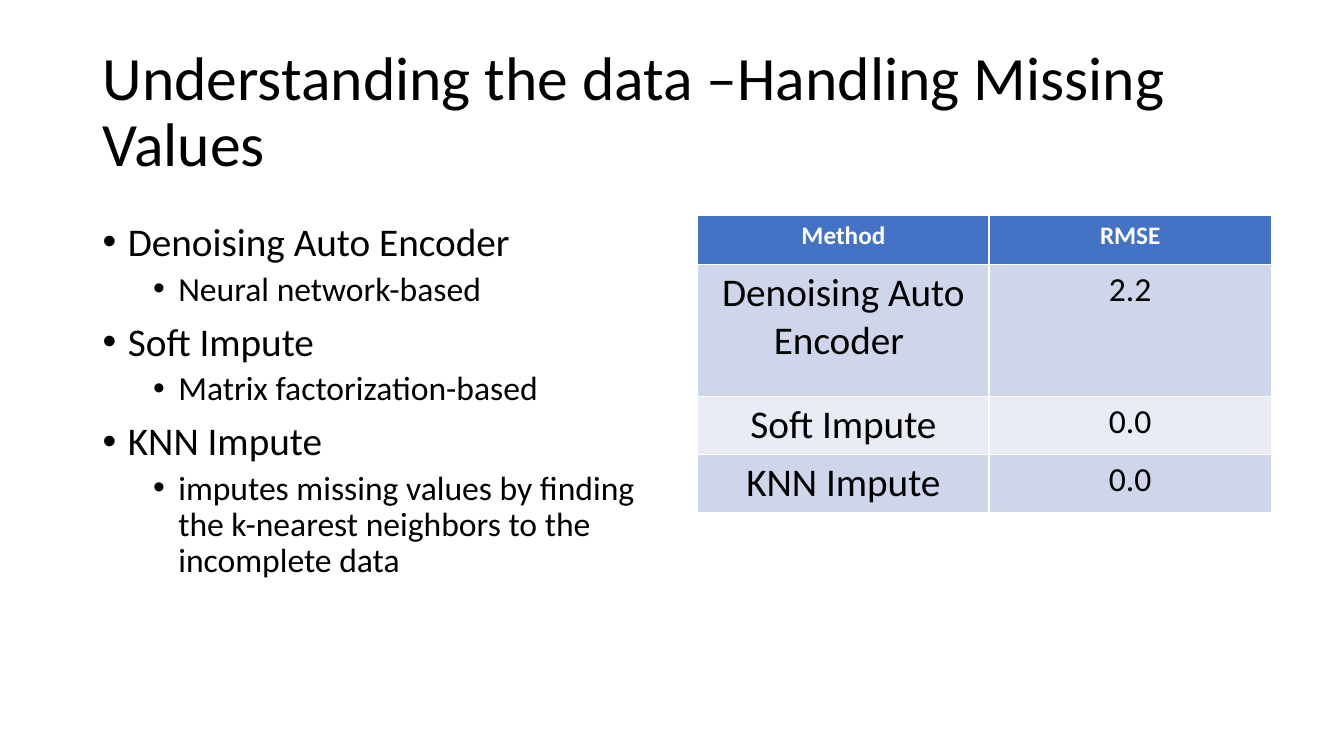
from lxml import etree
from pptx import Presentation
from pptx.dml.color import RGBColor
from pptx.enum import text
from pptx.oxml import ns
from pptx.util import Inches, Pt

TITLE = "Understanding the data –Handling Missing Values"
METHODS = [
    ("Denoising Auto Encoder", "Neural network-based"),
    ("Soft Impute", "Matrix factorization-based"),
    ("KNN Impute", "imputes missing values by finding the k-nearest "
                   "neighbors to the incomplete data"),
]
SCORES = [
    ("Method", "RMSE"),
    ("Denoising Auto Encoder ", "2.2"),
    ("Soft Impute", "0.0"),
    ("KNN Impute", "0.0"),
]
COL_WIDTHS = (2.89, 2.8)
ROW_HEIGHTS = (0.48, 1.31, 0.58, 0.58)
LEVELS = [  # text size, space before, indent of the text
    (28, 10, 0.25),
    (24, 5, 0.75),
]
HANGING = 0.25

FONT = "Calibri"
BLACK = RGBColor(0x00, 0x00, 0x00)
WHITE = RGBColor(0xFF, 0xFF, 0xFF)
HEADER = RGBColor(0x44, 0x72, 0xC4)
BANDS = (RGBColor(0xE9, 0xEB, 0xF5), RGBColor(0xCF, 0xD5, 0xEA))


def format_runs(p, size, color=BLACK, bold=False):
    for r in p.runs:
        r.font.name = FONT
        r.font.size = Pt(size)
        r.font.bold = bold
        r.font.color.rgb = color


def add_text_frame(s, left, top, width, height):
    tf = s.shapes.add_textbox(*map(Inches, (left, top, width, height))).text_frame
    tf.word_wrap = True
    return tf


def add_bullet(p, indent):
    pPr = p._p.get_or_add_pPr()
    pPr.set("marL", str(Inches(indent)))
    pPr.set("indent", str(-Inches(HANGING)))
    etree.SubElement(pPr, ns.qn("a:buFont"), typeface="Arial")
    etree.SubElement(pPr, ns.qn("a:buChar"), char="•")


def add_title(s):
    tf = add_text_frame(s, 0.92, 0.4, 11.5, 1.45)
    tf.vertical_anchor = text.MSO_ANCHOR.MIDDLE
    tf.text = TITLE
    p = tf.paragraphs[0]
    p.line_spacing = 0.9
    format_runs(p, 44)


def add_methods(s):
    tf = add_text_frame(s, 0.92, 2.16, 5.48, 4.6)
    tf.text = "\n".join(line for method in METHODS for line in method)
    for i, p in enumerate(tf.paragraphs):
        level = i % 2
        size, before, indent = LEVELS[level]
        p.level = level
        p.line_spacing = 0.9
        p.space_before = Pt(before)
        add_bullet(p, indent)
        format_runs(p, size)


def add_scores(s):
    table = s.shapes.add_table(
        len(SCORES), len(COL_WIDTHS), Inches(6.92), Inches(2.14),
        Inches(sum(COL_WIDTHS)), Inches(sum(ROW_HEIGHTS))).table
    for col, width in zip(table.columns, COL_WIDTHS):
        col.width = Inches(width)
    for i, (row, values) in enumerate(zip(table.rows, SCORES)):
        row.height = Inches(ROW_HEIGHTS[i])
        for j, value in enumerate(values):
            cell = table.cell(i, j)
            cell.fill.solid()
            cell.fill.fore_color.rgb = BANDS[i % 2] if i else HEADER
            cell.text_frame.text = value
            p = cell.text_frame.paragraphs[0]
            p.alignment = text.PP_ALIGN.CENTER
            if i:
                format_runs(p, LEVELS[j][0])
            else:
                format_runs(p, 18, WHITE, True)


def main():
    prs = Presentation()
    prs.slide_width = Inches(13.33)
    prs.slide_height = Inches(7.5)
    s = prs.slides.add_slide(prs.slide_layouts[6])
    add_title(s)
    add_methods(s)
    add_scores(s)
    prs.save("out.pptx")


if __name__ == "__main__":
    main()
